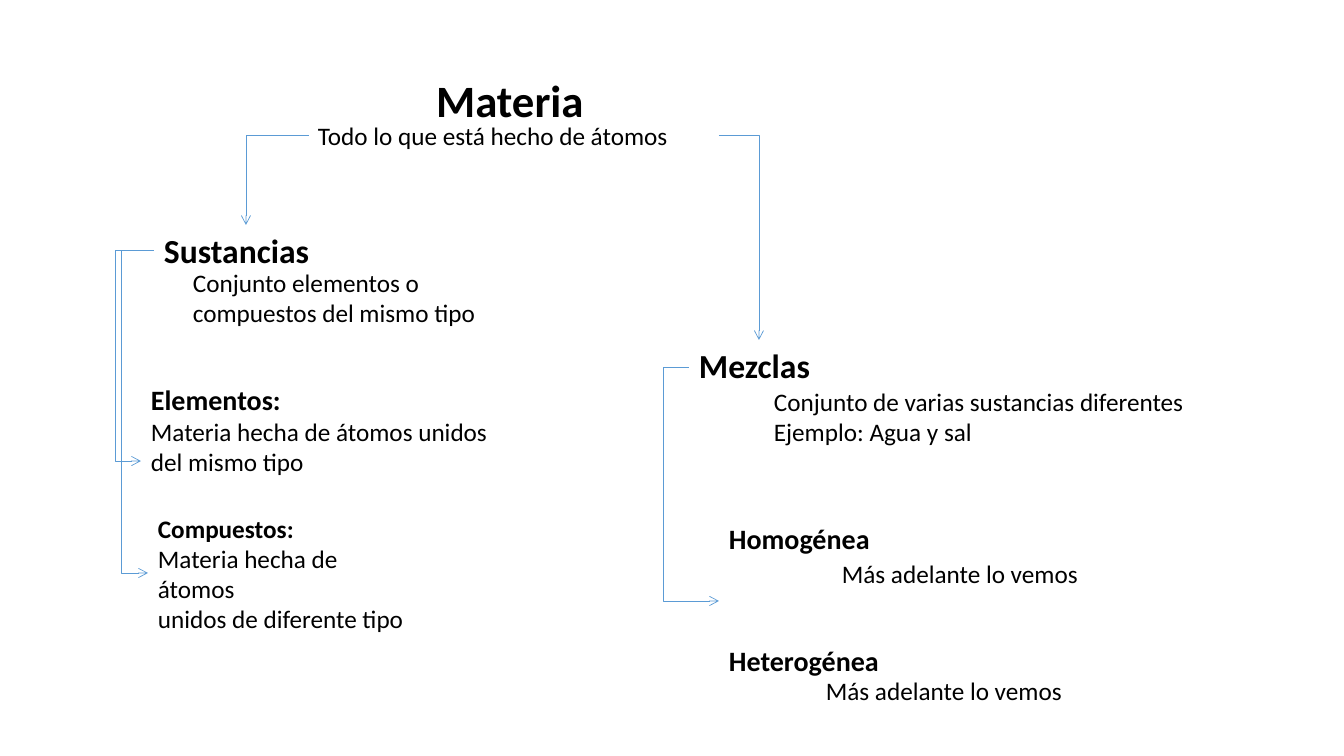
from lxml import etree
from pptx import Presentation
from pptx.dml.color import RGBColor
from pptx.enum.shapes import MSO_CONNECTOR
from pptx.enum.text import MSO_ANCHOR, MSO_AUTO_SIZE, PP_ALIGN
from pptx.oxml.ns import qn
from pptx.util import Pt

PX = 9071.43
BLACK = RGBColor(0x00, 0x00, 0x00)
BLUE = RGBColor(0x5B, 0x9B, 0xD5)
FONT = "Calibri"

TITLE = ((426, 68, 175, 65), [("Materia", 32, True, 0)])
LABELS = [
    ((308, 115, 410, 40), [("Todo lo que está hecho de átomos", 18, False, 0)]),
    ((154, 225, 178, 50), [("Sustancias", 24, True, 0)]),
    ((689, 340, 139, 50), [("Mezclas", 24, True, 0)]),
    ((141, 378, 392, 165), [
        ("Elementos:", 20, True, 0),
        ("Materia hecha de átomos unidos", 18, False, 0),
        ("del mismo tipo", 18, False, 0),
    ]),
    ((719, 517, 182, 165), [
        ("Homogénea", 20, True, 0),
        ("Heterogénea", 20, True, 63),
    ]),
    ((764, 381, 478, 71), [
        ("Conjunto de varias sustancias diferentes", 18, False, 0),
        ("Ejemplo: Agua y sal", 18, False, 0),
    ]),
    ((183, 262, 335, 71), [
        ("Conjunto elementos o", 18, False, 0),
        ("compuestos del mismo tipo", 18, False, 0),
    ]),
    ((816, 670, 280, 40), [("Más adelante lo vemos", 18, False, 0)]),
    ((832, 553, 280, 40), [("Más adelante lo vemos", 18, False, 0)]),
    ((148, 508, 278, 133), [
        ("Compuestos:", 18, True, 0),
        ("Materia hecha de átomos", 18, False, 0),
        ("unidos de diferente tipo", 18, False, 0),
    ]),
]
ARROWS = [
    ((309, 135), (246, 225), None),
    ((719, 135), (759, 340), None),
    ((689, 367), (719, 601), 663),
    ((154, 250), (141, 461), 115),
    ((154, 250), (148, 573), 121),
]


def emu(*lengths):
    return [round(n * PX) for n in lengths]


def write(sp, lines):
    tf = sp.text_frame
    tf.word_wrap = True
    tf.auto_size = MSO_AUTO_SIZE.NONE
    tf.vertical_anchor = MSO_ANCHOR.TOP
    tf.text = "\n".join(line[0] for line in lines)
    for p, (_, size, bold, gap) in zip(tf.paragraphs, lines):
        p.alignment = PP_ALIGN.LEFT
        p.line_spacing = 1.0
        p.space_before = Pt(gap)
        font = p.runs[0].font
        font.name, font.size, font.bold = FONT, Pt(size), bold
        font.color.rgb = BLACK


def add_arrow(s, start, end, turn_x):
    cn = s.shapes.add_connector(MSO_CONNECTOR.ELBOW, *emu(*start, *end))
    cn.line.color.rgb = BLUE
    cn.line.width = Pt(0.5)
    etree.SubElement(cn.line._get_or_add_ln(), qn("a:tailEnd"), type="arrow")
    props = cn._element.spPr
    etree.SubElement(props, qn("a:effectLst"))
    geom = props.find(qn("a:prstGeom"))
    if turn_x is None:
        geom.set("prst", "bentConnector2")
    else:
        adj = round(100000 * (turn_x - start[0]) / (end[0] - start[0]))
        guides = geom.find(qn("a:avLst"))
        etree.SubElement(guides, qn("a:gd"), name="adj1", fmla=f"val {adj}")


prs = Presentation()
prs.slide_width, prs.slide_height = emu(1344, 756)
s = prs.slides.add_slide(prs.slide_layouts[5])
title = s.shapes.title
box, lines = TITLE
title.left, title.top, title.width, title.height = emu(*box)
write(title, lines)
for box, lines in LABELS:
    write(s.shapes.add_textbox(*emu(*box)), lines)
for arrow in ARROWS:
    add_arrow(s, *arrow)
prs.save("out.pptx")
